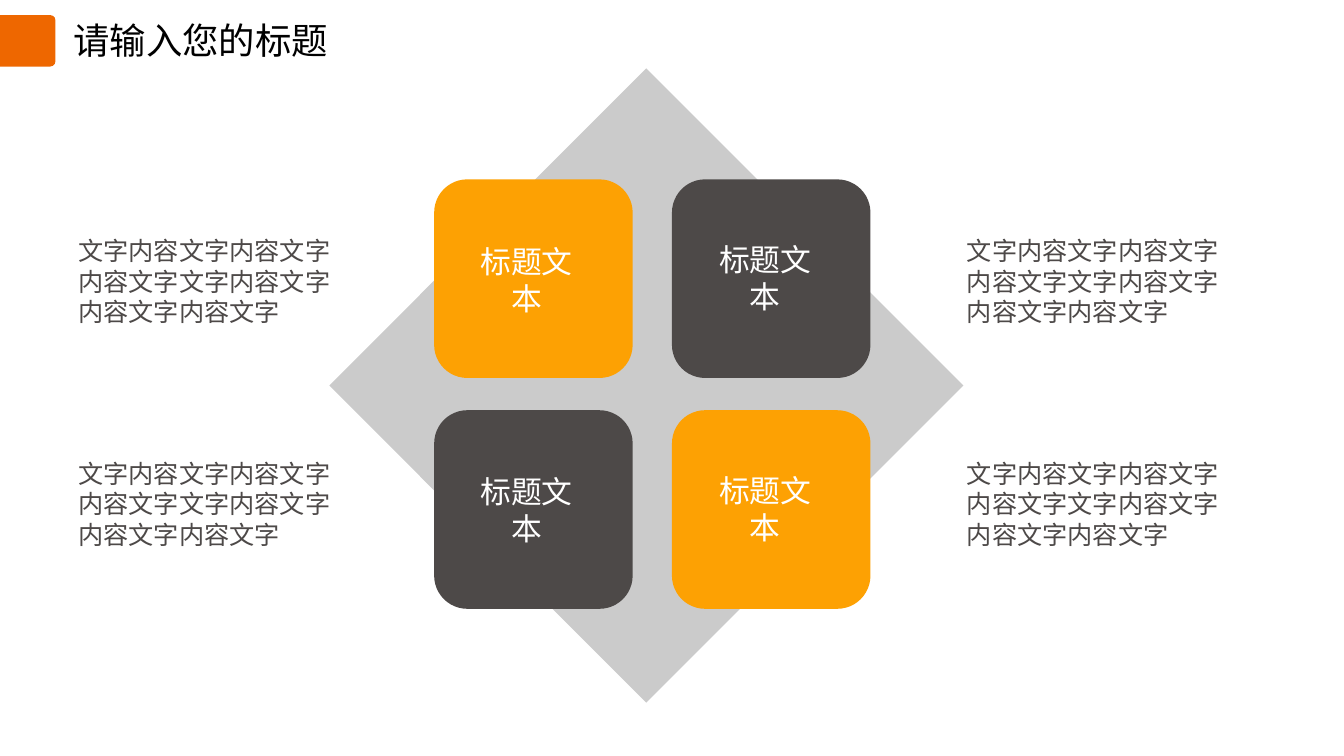
from pptx import Presentation
from pptx.dml.color import RGBColor
from pptx.enum.shapes import MSO_SHAPE
from pptx.enum.text import PP_ALIGN
from pptx.oxml.ns import qn
from pptx.util import Inches, Pt

FONT = "Noto Sans CJK SC"
ORANGE, AMBER, DARK, GREY = "EE6700", "FDA103", "4D4948", "CBCBCB"

TITLE = "请输入您的标题"
LABEL = "标题文本"
BODY = "文字内容文字内容文字内容文字文字内容文字内容文字内容文字"

TILE = 1.97
TILE_X, TILE_Y = (4.31, 6.67), (1.78, 4.07)
TILE_COLORS = ((AMBER, DARK), (DARK, AMBER))
LABEL_X, LABEL_Y = (4.65, 7.02), ((2.36, 2.34), (4.64, 4.63))
BODY_X, BODY_Y, BODY_W = (0.68, 9.5), (2.29, 4.5), (2.92, 2.84)


def rgb(color):
    return RGBColor.from_string(color)


def add_block(slide, kind, x, y, w, h, color, rotation=0, corner=None):
    sp = slide.shapes.add_shape(kind, Inches(x), Inches(y), Inches(w), Inches(h))
    sp.shadow.inherit = False
    sp.fill.solid()
    sp.fill.fore_color.rgb = rgb(color)
    sp.line.fill.background()
    sp.rotation = rotation
    if corner is not None:
        sp.adjustments[0] = corner


def add_text(slide, text, x, y, w, h, size, color, align=PP_ALIGN.LEFT, wrap=True):
    tf = slide.shapes.add_textbox(Inches(x), Inches(y), Inches(w), Inches(h)).text_frame
    tf.word_wrap = wrap
    p = tf.paragraphs[0]
    p.alignment = align
    r = p.add_run()
    r.text = text
    r.font.size = Pt(size)
    r.font.name = FONT
    r.font.color.rgb = rgb(color)
    # Chinese characters take their font from the East Asian slot
    ea = r.font._element.makeelement(qn("a:ea"), {"typeface": FONT})
    r.font._element.append(ea)


prs = Presentation()
prs.slide_width, prs.slide_height = Inches(13.34), Inches(7.5)
slide = prs.slides.add_slide(prs.slide_layouts[6])

add_text(slide, TITLE, 0.63, 0.13, 2.73, 0.54, 26, "000000", wrap=False)
add_block(slide, MSO_SHAPE.ROUND_2_SAME_RECTANGLE, 0.02, 0.13, 0.51, 0.55, ORANGE,
          rotation=90, corner=0.1)
add_block(slide, MSO_SHAPE.RECTANGLE, 4.19, 1.6, 4.45, 4.45, GREY, rotation=45)

for row in range(2):
    for col in range(2):
        add_block(slide, MSO_SHAPE.ROUNDED_RECTANGLE, TILE_X[col], TILE_Y[row],
                  TILE, TILE, TILE_COLORS[row][col], corner=0.167)
        add_text(slide, LABEL, LABEL_X[col], LABEL_Y[row][col], 1.15, 0.84, 22,
                 "FFFFFF", align=PP_ALIGN.CENTER)
        add_text(slide, BODY, BODY_X[col], BODY_Y[row], BODY_W[col], 1.3, 18, DARK)

prs.save("out.pptx")
